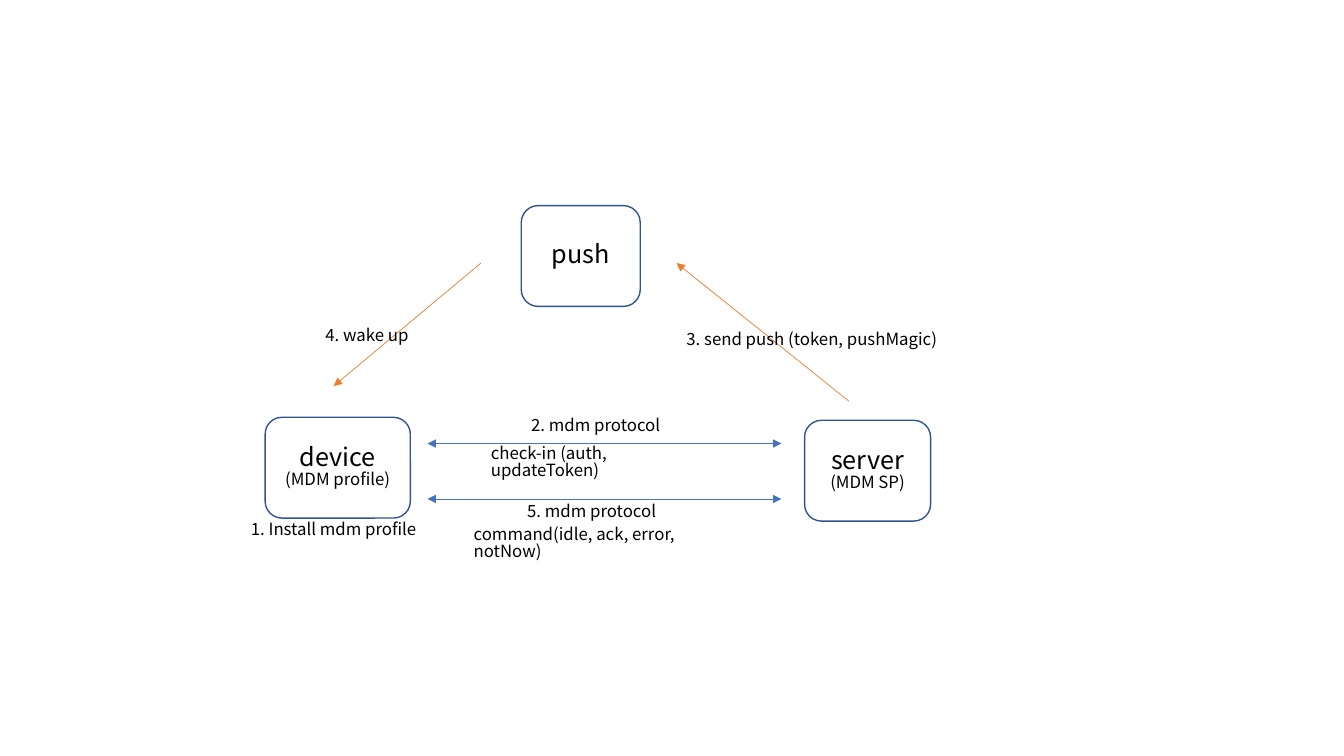
from lxml import etree
from pptx import Presentation
from pptx import util as u
from pptx.dml.color import RGBColor
from pptx.enum import shapes, text
from pptx.oxml import ns


def rgb(value):
    return RGBColor.from_string(value)


class Diagram:
    """Draws the styled elements of a flow diagram on one slide."""

    font = "Noto Sans CJK KR"
    ink = "000000"
    outline = "325491"
    push = "ED7D31"
    protocol = "4472C4"
    spacing = 0.83

    def __init__(self, slide):
        self.s = slide

    def run(self, p, words, size):
        r = p.add_run()
        r.text = words
        r.font.name = self.font
        r.font.size = u.Pt(size)
        r.font.color.rgb = rgb(self.ink)

    def node(self, left, top, width, name, detail=None):
        sp = self.s.shapes.add_shape(
            shapes.MSO_SHAPE.ROUNDED_RECTANGLE,
            u.Inches(left), u.Inches(top), u.Inches(width), u.Inches(1))
        sp.shadow.inherit = False
        sp.fill.background()
        sp.line.color.rgb = rgb(self.outline)
        sp.line.width = u.Pt(1)
        tf = sp.text_frame
        tf.vertical_anchor = text.MSO_ANCHOR.MIDDLE
        p = tf.paragraphs[0]
        p.alignment = text.PP_ALIGN.CENTER
        p.line_spacing = self.spacing
        self.run(p, name, 18)
        if detail:
            p.add_line_break()
            self.run(p, detail, 12)

    def label(self, left, top, width, words, wrap=False):
        sp = self.s.shapes.add_textbox(
            u.Inches(left), u.Inches(top), u.Inches(width), u.Inches(0.3))
        tf = sp.text_frame
        tf.word_wrap = wrap
        p = tf.paragraphs[0]
        p.line_spacing = self.spacing
        self.run(p, words, 12)

    def arrow(self, start, end, color, ends=("tailEnd",)):
        cx = self.s.shapes.add_connector(
            shapes.MSO_CONNECTOR.STRAIGHT, *map(u.Inches, start + end))
        cx.line.color.rgb = rgb(color)
        cx.line.width = u.Pt(0.5)
        ln = cx.line._get_or_add_ln()
        for tag in ends:
            etree.SubElement(ln, ns.qn("a:" + tag), type="triangle")
        etree.SubElement(cx._element.spPr, ns.qn("a:effectLst"))


def main():
    prs = Presentation()
    prs.slide_width = u.Inches(13.33)
    prs.slide_height = u.Inches(7.5)
    d = Diagram(prs.slides.add_slide(prs.slide_layouts[6]))

    d.node(5.17, 2.04, 1.18, "push")
    d.node(2.63, 4.14, 1.44, "device", "(MDM profile)")
    d.node(7.98, 4.17, 1.25, "server", "(MDM SP)")

    d.arrow((4.77, 2.61), (3.31, 3.83), d.push)
    d.arrow((8.42, 3.98), (6.71, 2.61), d.push)
    for y in (4.4, 4.95):
        d.arrow((4.24, y), (7.75, y), d.protocol, ("headEnd", "tailEnd"))

    d.label(2.39, 5.13, 1.84, "1. Install mdm profile")
    d.label(5.17, 4.1, 1.49, "2. mdm protocol")
    d.label(4.77, 4.38, 2.41, "check-in (auth, updateToken)", wrap=True)
    d.label(6.71, 3.25, 2.71, "3. send push (token, pushMagic)")
    d.label(3.13, 3.21, 1.03, "4. wake up")
    d.label(5.13, 4.95, 1.49, "5. mdm protocol")
    d.label(4.6, 5.18, 2.86, "command(idle, ack, error, notNow)", wrap=True)

    prs.save("out.pptx")


if __name__ == "__main__":
    main()
